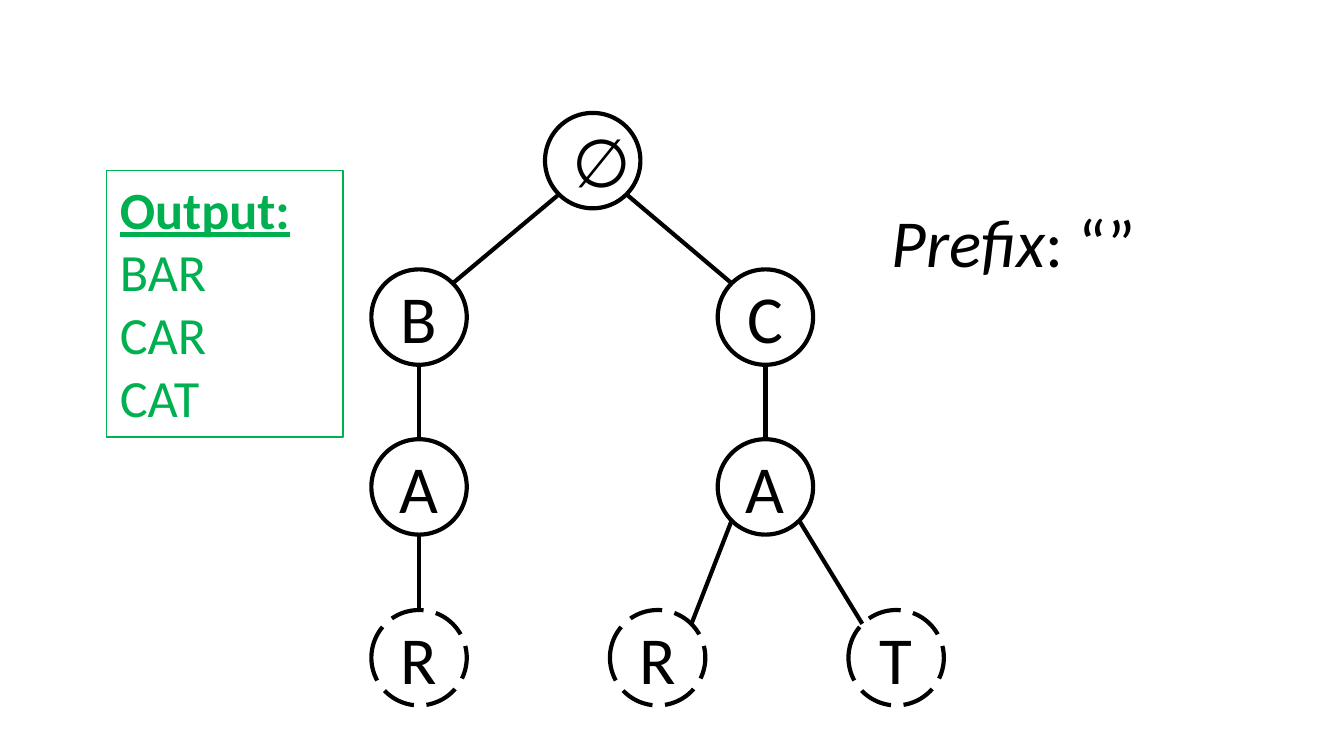
import lxml.etree
import pptx
import pptx.dml.color
import pptx.enum.dml
import pptx.enum.shapes
import pptx.enum.text
import pptx.oxml.ns
import pptx.util

BLACK = pptx.dml.color.RGBColor(0x00, 0x00, 0x00)
GREEN = pptx.dml.color.RGBColor(0x00, 0xB0, 0x50)
FONT = "Calibri"
CELL = pptx.util.Inches(0.1)
COLUMNS, ROWS = 100, 56.25
TREE_BOX = (27.63, 8.4, 42.6, 44.1)
PREFIX_BOX = (65.34, 14.45, 27.8, 7.07)
OUTPUT_BOX = (7.94, 12.67, 17.6, 19.85)

DIAMETERS_ACROSS = 6
NODES = {
    "root": ("∅", 1.82, 0, False),
    "B": ("B", 0, 1.64, False),
    "C": ("C", 3.63, 1.64, False),
    "BA": ("A", 0, 3.42, False),
    "CA": ("A", 3.63, 3.42, False),
    "BAR": ("R", 0, 5.21, True),
    "CAR": ("R", 2.5, 5.21, True),
    "CAT": ("T", 5, 5.21, True),
}
EDGES = [("root", "B"), ("root", "C"), ("B", "BA"), ("C", "CA"),
         ("BA", "BAR"), ("CA", "CAR"), ("CA", "CAT")]


def cells(*lengths):
    """Turn grid lengths into slide units."""
    return [round(length * CELL) for length in lengths]


def add_run(paragraph, text, size=36, color=BLACK, bold=False, italic=False, underline=False):
    """Append formatted text to a paragraph."""
    run = paragraph.add_run()
    run.text = text
    run.font.name = FONT
    run.font.size = pptx.util.Pt(size)
    run.font.color.rgb = color
    run.font.bold = bold
    run.font.italic = italic
    run.font.underline = underline


def add_outline(slide, kind, box, color, width):
    """Add an unfilled preset shape with a plain outline."""
    shape = slide.shapes.add_shape(kind, *cells(*box))
    shape.shadow.inherit = False
    shape.fill.background()
    shape.line.color.rgb = color
    shape.line.width = pptx.util.Pt(width)
    return shape


def add_node(slide, box, letter, ends_word):
    """Draw one trie node, dashed where a word ends."""
    shape = add_outline(slide, pptx.enum.shapes.MSO_SHAPE.OVAL, box, BLACK, 2.25)
    if ends_word:
        shape.line.dash_style = pptx.enum.dml.MSO_LINE.LONG_DASH
    shape.text_frame.vertical_anchor = pptx.enum.text.MSO_ANCHOR.MIDDLE
    paragraph = shape.text_frame.paragraphs[0]
    paragraph.alignment = pptx.enum.text.PP_ALIGN.CENTER
    add_run(paragraph, letter)


def add_edge(slide, parent, child, radius):
    """Join the facing rims of two nodes given by their centres."""
    side = (child[0] > parent[0]) - (child[0] < parent[0])
    reach = radius * (0.71 if side else 1)
    connector = slide.shapes.add_connector(
        pptx.enum.shapes.MSO_CONNECTOR.STRAIGHT,
        *cells(parent[0] + side * reach, parent[1] + reach,
               child[0] - side * reach, child[1] - reach))
    connector.line.color.rgb = BLACK
    connector.line.width = pptx.util.Pt(2.25)
    lxml.etree.SubElement(connector._element.spPr, pptx.oxml.ns.qn("a:effectLst"))


def add_tree(slide, box):
    """Draw the trie on a grid of node diameters."""
    left, top, width, _ = box
    diameter = width / DIAMETERS_ACROSS
    radius = diameter / 2
    centres = {}
    for name, (letter, column, row, ends_word) in NODES.items():
        x, y = left + column * diameter, top + row * diameter
        centres[name] = (x + radius, y + radius)
        add_node(slide, (x, y, diameter, diameter), letter, ends_word)
    for parent, child in EDGES:
        add_edge(slide, centres[parent], centres[child], radius)


def add_prefix(slide, box):
    """Write the current prefix."""
    frame = slide.shapes.add_textbox(*cells(*box)).text_frame
    frame.word_wrap = True
    frame.auto_size = pptx.enum.text.MSO_AUTO_SIZE.SHAPE_TO_FIT_TEXT
    paragraph = frame.paragraphs[0]
    add_run(paragraph, "Prefix", italic=True)
    add_run(paragraph, ": “”")


def add_output(slide, box, words):
    """List the words found so far in a framed panel."""
    shape = add_outline(slide, pptx.enum.shapes.MSO_SHAPE.RECTANGLE, box, GREEN, 0.75)
    frame = shape.text_frame
    frame.word_wrap = True
    frame.auto_size = pptx.enum.text.MSO_AUTO_SIZE.SHAPE_TO_FIT_TEXT
    frame.vertical_anchor = pptx.enum.text.MSO_ANCHOR.TOP
    heading = frame.paragraphs[0]
    heading.alignment = pptx.enum.text.PP_ALIGN.LEFT
    add_run(heading, "Output:", size=28, color=GREEN, bold=True, underline=True)
    for word in words:
        paragraph = frame.add_paragraph()
        paragraph.alignment = pptx.enum.text.PP_ALIGN.LEFT
        add_run(paragraph, word, size=28, color=GREEN)


def main():
    """Build and save the slide."""
    presentation = pptx.Presentation()
    presentation.slide_width, presentation.slide_height = cells(COLUMNS, ROWS)
    slide = presentation.slides.add_slide(presentation.slide_layouts[6])
    add_tree(slide, TREE_BOX)
    add_prefix(slide, PREFIX_BOX)
    add_output(slide, OUTPUT_BOX, ["BAR", "CAR", "CAT"])
    presentation.save("out.pptx")


if __name__ == "__main__":
    main()
